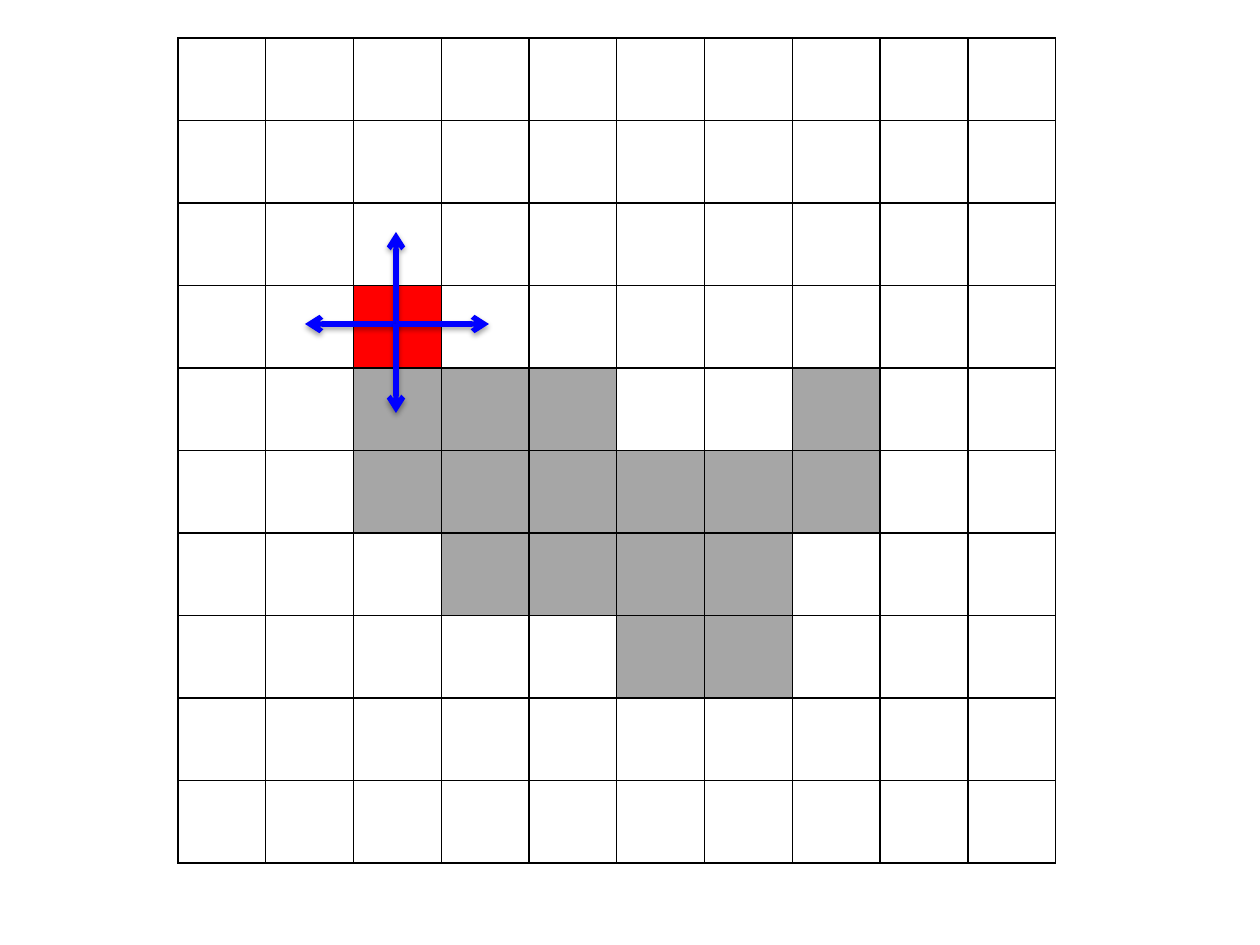
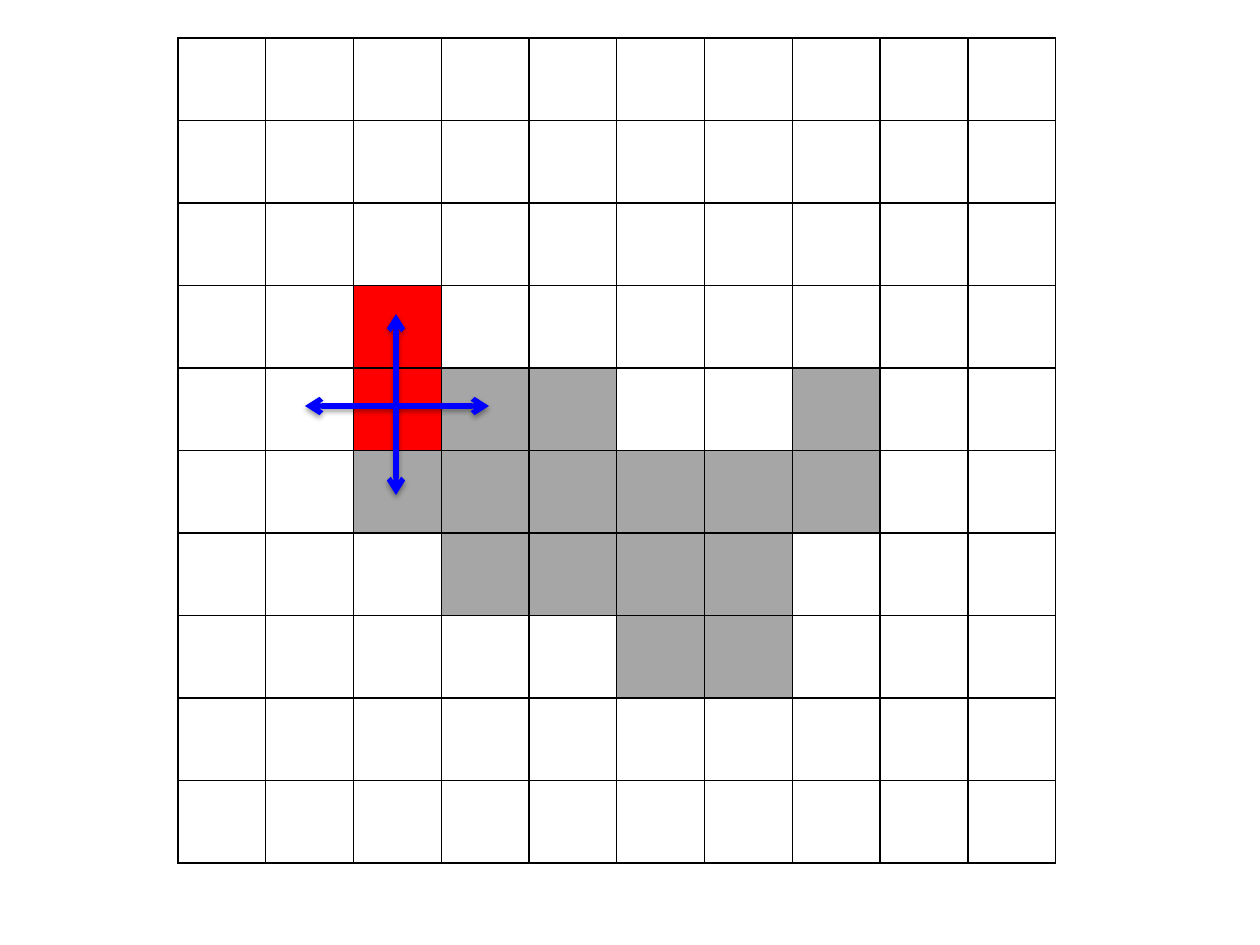
from lxml import etree
from pptx import Presentation
from pptx.dml.color import RGBColor
from pptx.enum.shapes import MSO_CONNECTOR
from pptx.oxml import parse_xml
from pptx.oxml.ns import nsdecls, qn
from pptx.util import Pt

PX = 914400 / 126
COLORS = {"line": "000000", "arrow": "0000FF", ".": "FFFFFF", "#": "A6A6A6", "R": "FF0000"}

# One character per cell: "." empty, "#" region, "R" filled
REGION = [
    "..........",
    "..........",
    "..........",
    "..#.......",
    "..###..#..",
    "..######..",
    "...####...",
    ".....##...",
    "..........",
    "..........",
]
SIZE = len(REGION)
GRID_LEFT, GRID_TOP, GRID_WIDTH, GRID_HEIGHT = 178, 38, 878, 825

FILL_COLUMN = 2
FILL_STEPS = [  # filled rows, centre of the arrows
    ([3], (396, 324)),
    ([3, 4], (396, 406)),
]
ARROW_REACH = [(0, -92), (-91, 0), (93, 0), (0, 89)]

SHADOW = (
    f'<a:effectLst {nsdecls("a")}>'
    '<a:outerShdw blurRad="40000" dist="20000" dir="5400000" rotWithShape="0">'
    '<a:srgbClr val="000000"><a:alpha val="38000"/></a:srgbClr>'
    "</a:outerShdw></a:effectLst>"
)


def px(length):
    return round(length * PX)


def format_cell(cell, color):
    """Fill the cell and draw a thin line on its four sides."""
    cell.fill.solid()
    cell.fill.fore_color.rgb = RGBColor.from_string(color)
    properties = cell._tc.get_or_add_tcPr()
    for index, side in enumerate("LRTB"):
        properties.insert(index, parse_xml(
            f'<a:ln{side} {nsdecls("a")} w="{Pt(1)}"><a:solidFill>'
            f'<a:srgbClr val="{COLORS["line"]}"/></a:solidFill></a:ln{side}>'
        ))


deck = Presentation()
deck.slide_width, deck.slide_height = px(1260), px(945)
blank_layout = deck.slide_layouts[6]

for filled_rows, (center_x, center_y) in FILL_STEPS:
    page = deck.slides.add_slide(blank_layout)
    grid = page.shapes.add_table(
        SIZE, SIZE, px(GRID_LEFT), px(GRID_TOP), px(GRID_WIDTH), px(GRID_HEIGHT)
    ).table
    grid.first_row = grid.horz_banding = False
    for row, marks in enumerate(REGION):
        for column, mark in enumerate(marks):
            if column == FILL_COLUMN and row in filled_rows:
                mark = "R"
            format_cell(grid.cell(row, column), COLORS[mark])

    for reach_x, reach_y in ARROW_REACH:
        arrow = page.shapes.add_connector(
            MSO_CONNECTOR.STRAIGHT, px(center_x), px(center_y),
            px(center_x + reach_x), px(center_y + reach_y),
        )
        arrow.line.width = Pt(3)
        arrow.line.color.rgb = RGBColor.from_string(COLORS["arrow"])
        etree.SubElement(arrow.line._get_or_add_ln(), qn("a:tailEnd"), type="arrow")
        arrow._element.spPr.append(parse_xml(SHADOW))

deck.save("out.pptx")
